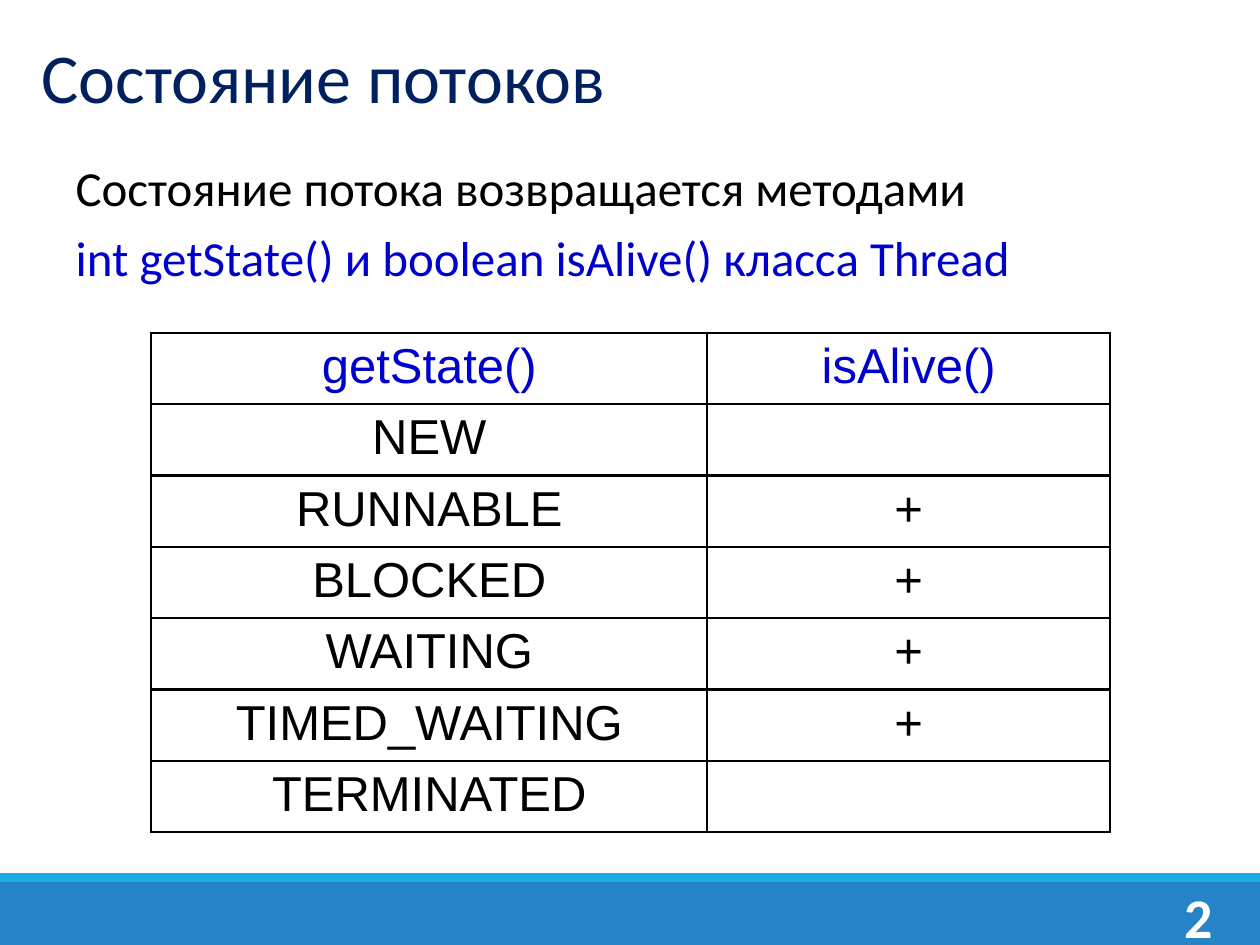
from pptx import Presentation
from pptx.dml.color import RGBColor as RGB
from pptx.enum.shapes import MSO_SHAPE as SHAPE
from pptx.enum.text import MSO_ANCHOR as ANCHOR, MSO_AUTO_SIZE as AUTO, PP_ALIGN as ALIGN
from pptx.oxml.ns import qn
from pptx.util import Emu, Inches, Pt
from lxml.etree import SubElement

NAVY = RGB(0x00, 0x20, 0x60)
BLUE = RGB(0x00, 0x00, 0xCC)
BLACK = RGB(0x00, 0x00, 0x00)
WHITE = RGB(0xFF, 0xFF, 0xFF)
BAR = RGB(0x26, 0x83, 0xC6)
STRIPE = RGB(0x1C, 0xAD, 0xE4)

INDENT = Inches(0.1)
CELL_PAD = Inches(0.05)
BORDER = Pt(1.5)

STATES = [("getState()", "isAlive()"), ("NEW", ""), ("RUNNABLE", "+"),
          ("BLOCKED", "+"), ("WAITING", "+"), ("TIMED_WAITING", "+"),
          ("TERMINATED", "")]


class Deck:
    """Holds the style and the current slide; boxes are percentages of the slide."""

    def __init__(self, prs):
        self.prs = prs
        self.slide = prs.slides.add_slide(prs.slide_layouts[1])
        self.shapes = self.slide.shapes

    def box(self, left, top, width, height):
        w, h = self.prs.slide_width, self.prs.slide_height
        return [Emu(round(size * share / 100))
                for size, share in zip((w, h, w, h), (left, top, width, height))]

    def place(self, sp, box):
        for name, value in zip(("left", "top", "width", "height"), self.box(*box)):
            setattr(sp, name, value)

    def frame(self, tf, pad=0, anchor=ANCHOR.TOP):
        style = dict(word_wrap=True, auto_size=AUTO.NONE, vertical_anchor=anchor,
                     margin_left=pad, margin_right=pad, margin_top=pad, margin_bottom=pad)
        for name, value in style.items():
            setattr(tf, name, value)

    def add_text(self, p, text, color, align=ALIGN.LEFT, **font):
        p.alignment = align
        r = p.add_run()
        r.text = text
        for name, value in {"name": "Calibri", "size": Pt(28), **font}.items():
            setattr(r.font, name, value)
        r.font.color.rgb = color

    def bar(self, color, *box):
        sp = self.shapes.add_shape(SHAPE.RECTANGLE, *self.box(*box))
        sp.shadow.inherit = False
        sp.fill.solid()
        sp.fill.fore_color.rgb = color
        sp.line.fill.background()

    def title(self, text, *box):
        sp = self.shapes.title
        self.place(sp, box)
        self.frame(sp.text_frame, anchor=ANCHOR.MIDDLE)
        self.add_text(sp.text_frame.paragraphs[0], text, NAVY, size=Pt(40))

    def body(self, lines, *box):
        sp = self.slide.placeholders[1]
        self.place(sp, box)
        tf = sp.text_frame
        self.frame(tf)
        for i, (text, color) in enumerate(lines):
            p = tf.add_paragraph() if i else tf.paragraphs[0]
            p.space_before = Pt(6 if i else 0)
            pPr = p._p.get_or_add_pPr()
            pPr.set("marL", str(INDENT))
            pPr.set("indent", "0")
            SubElement(pPr, qn("a:buNone"))
            self.add_text(p, text, color, ALIGN.JUSTIFY)

    def number(self, text, *box):
        tf = self.shapes.add_textbox(*self.box(*box)).text_frame
        self.frame(tf, CELL_PAD)
        self.add_text(tf.paragraphs[0], text, WHITE, ALIGN.CENTER, size=Pt(32), bold=True)

    def borders(self, cell):
        tcPr = cell._tc.get_or_add_tcPr()
        for side in ("lnL", "lnR", "lnT", "lnB"):
            ln = SubElement(tcPr, qn(f"a:{side}"), w=str(BORDER))
            fill = SubElement(ln, qn("a:solidFill"))
            SubElement(fill, qn("a:srgbClr"), val=str(BLACK))

    def table(self, rows, shares, *box):
        frame = self.shapes.add_table(len(rows), len(shares), *self.box(*box))
        table, width = frame.table, frame.width
        table.first_row = table.horz_banding = False
        for column, share in zip(table.columns, shares):
            column.width = Emu(round(width * share))
        for i, row in enumerate(rows):
            for j, text in enumerate(row):
                cell = table.cell(i, j)
                for side in ("left", "right", "top", "bottom"):
                    setattr(cell, f"margin_{side}", CELL_PAD)
                self.borders(cell)
                cell.fill.background()
                if text:
                    self.add_text(cell.text_frame.paragraphs[0], text,
                                  BLACK if i else BLUE, ALIGN.CENTER, name="Arial")


def main():
    prs = Presentation()
    prs.slide_width, prs.slide_height = Inches(10), Inches(7.5)
    deck = Deck(prs)

    # Footer bars
    deck.bar(BAR, 0, 93.33, 100, 6.67)
    deck.bar(STRIPE, 0, 92.4, 100, 0.93)

    # Title and introduction
    deck.title("Состояние потоков", 3.3, 3.5, 90, 9)
    deck.body([("Состояние потока возвращается методами", BLACK),
               ("int getState() и boolean isAlive() класса Thread", BLUE)],
              5, 16.7, 90, 13.6)

    # Slide number
    deck.number("2", 92.7, 92.7, 4.8, 8.5)

    # Thread states
    deck.table(STATES, (0.58, 0.42), 12, 35.2, 76.1, 52.9)

    prs.save("out.pptx")


if __name__ == "__main__":
    main()
